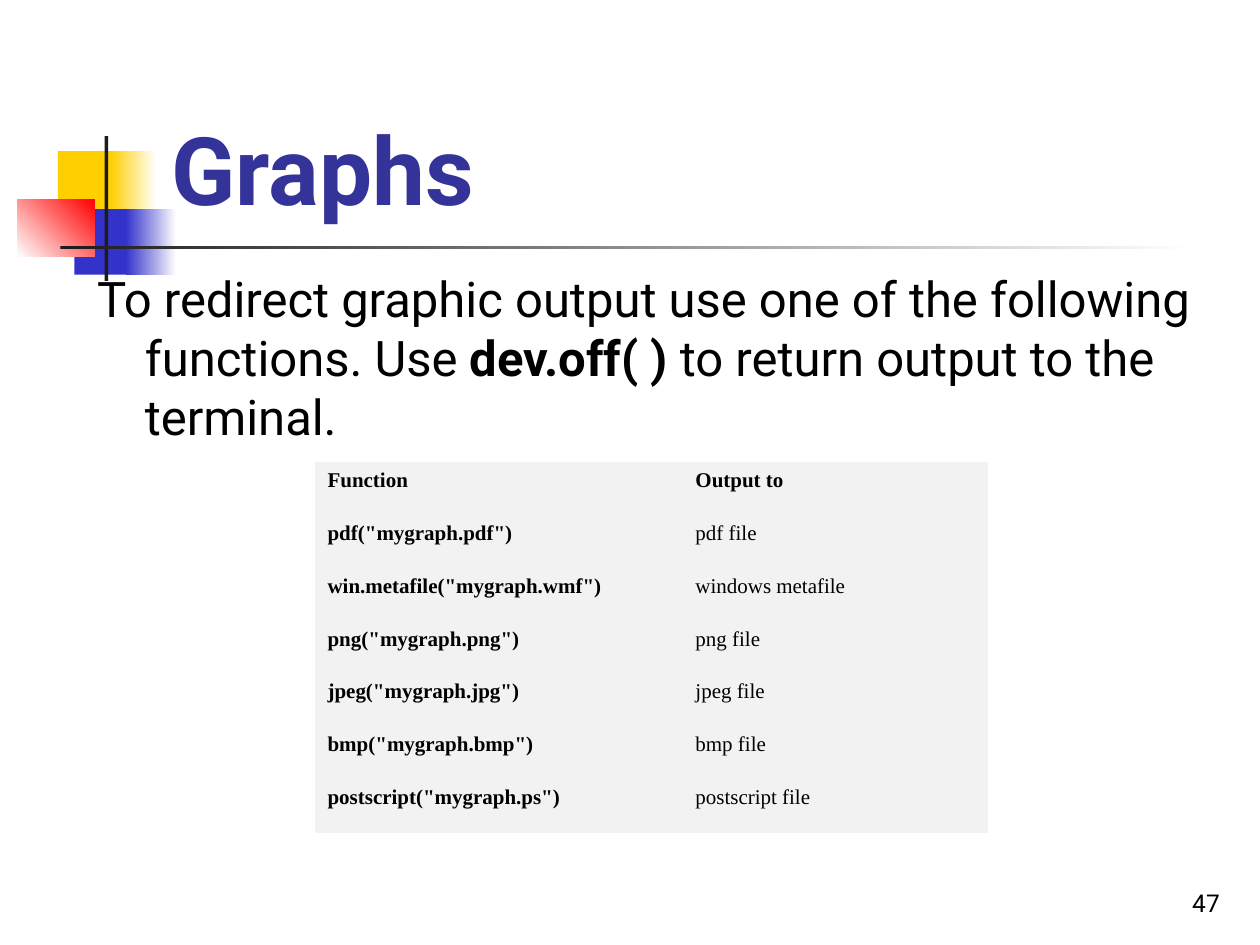
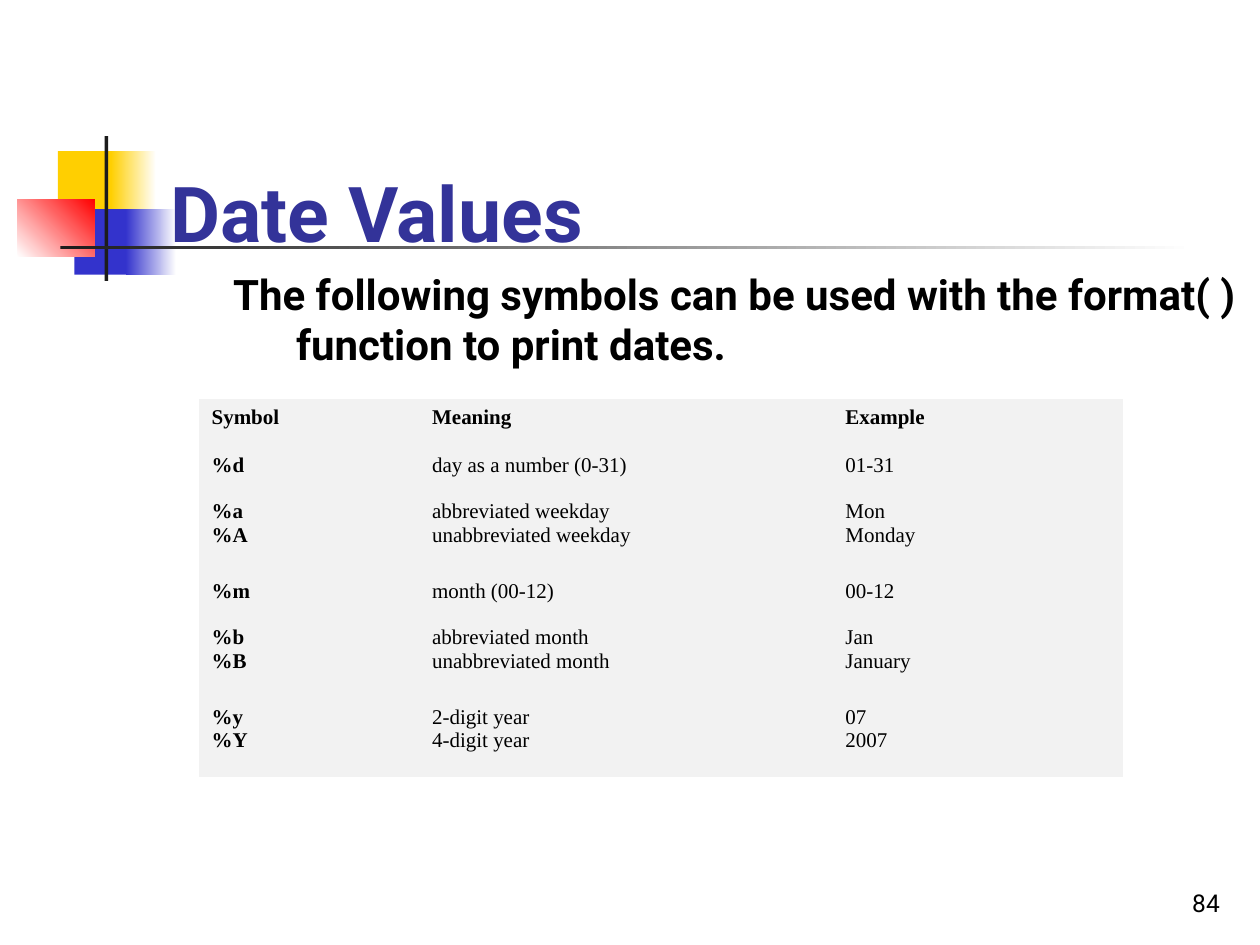
from lxml import etree
from pptx import Presentation
from pptx.dml.color import RGBColor
from pptx.enum.shapes import MSO_SHAPE
from pptx.enum.text import MSO_ANCHOR, MSO_AUTO_SIZE, PP_ALIGN
from pptx.oxml.ns import qn
from pptx.util import Inches, Pt

RECT = MSO_SHAPE.RECTANGLE
BOTTOM, TOP = MSO_ANCHOR.BOTTOM, MSO_ANCHOR.TOP
LEFT, RIGHT = PP_ALIGN.LEFT, PP_ALIGN.RIGHT
FIXED = MSO_AUTO_SIZE.NONE
PLAIN = "{2D5ABB26-0587-4C30-8999-92F81FD0307C}"  # table style without grid
WIDE, HIGH = 10, 7.5

HUES = {"gold": "FFCF01", "blue": "3333CC", "red": "FF0000", "dark": "1C1C1C",
        "white": "FFFFFF", "title": "333399", "text": "000000", "cell": "F2F2F2"}

# Content
SLIDES = [
    {"title": "Graphs", "size": 54, "box": (1.26, 0.23, 8.52, 1.6), "page": "47",
     "body": {"box": (0.17, 2.08, 9.92, 4.25), "level": 0, "size": 28,
              "margin": 0.88, "hang": 0.38, "before": 7,
              "runs": [("To redirect graphic output use one of the following "
                        "functions. Use ", False),
                       ("dev.off( )", True),
                       (" to return output to the terminal.", False)]},
     "table": {"at": (2.5, 3.67), "cols": [2.92, 2.42], "rows": [0.42] * 7,
               "cells": [("Function", "Output to"),
                         ('pdf("mygraph.pdf")', "pdf file"),
                         ('win.metafile("mygraph.wmf")', "windows metafile"),
                         ('png("mygraph.png")', "png file"),
                         ('jpeg("mygraph.jpg")', "jpeg file"),
                         ('bmp("mygraph.bmp")', "bmp file"),
                         ('postscript("mygraph.ps")', "postscript file")]}},
    {"title": "Date Values", "size": 44, "box": (1.25, 0.5, 8.52, 1.6), "page": "84",
     "body": {"box": (0.75, 2.08, 9.25, 3.17), "level": 1, "size": 24,
              "margin": 1.5, "hang": 0.5, "before": 6,
              "runs": [("The following symbols can be used with the format( ) "
                        "function to print dates.", True)]},
     "table": {"at": (1.58, 3.17), "cols": [1.75, 3.28, 2.3],
               "rows": [0.38, 0.37, 0.63, 0.37, 0.63, 0.62],
               "cells": [("Symbol", "Meaning", "Example"),
                         ("%d", "day as a number (0-31)", "01-31"),
                         ("%a\n%A", "abbreviated weekday\nunabbreviated weekday",
                          "Mon\nMonday"),
                         ("%m", "month (00-12)", "00-12"),
                         ("%b\n%B", "abbreviated month\nunabbreviated month",
                          "Jan\nJanuary"),
                         ("%y\n%Y", "2-digit year\n4-digit year", "07\n2007")]}},
]

# Emblem and rule: box, colours from start to end, angle
EMBLEM = [
    ((0.46, 1.2, 0.48, 0.52), ["gold"], 0),
    ((0.88, 1.2, 0.36, 0.52), ["gold", "white"], 0),
    ((0.59, 1.66, 0.46, 0.52), ["blue"], 0),
    ((1, 1.66, 0.4, 0.52), ["blue", "white"], 0),
    ((0.14, 1.58, 0.61, 0.46), ["white", "red"], 45),
    ((0.83, 1.08, 0.03, 1.15), ["dark"], 0),
    ((0.48, 1.95, 9, 0.03), ["dark", "white"], 0),
]
PAGE = (7.7, 6.83, 2.08, 0.5)

# Text styles
HEAD = {"name": "Roboto", "bold": True}
PROSE = {"name": "Roboto"}
GRID = {"name": "Times New Roman", "size": Pt(12)}
FRAME = {"word_wrap": True, "auto_size": FIXED}


def tune(item, **values):
    for key, value in values.items():
        setattr(item, key, value)


def hue(name):
    return RGBColor.from_string(HUES[name])


def ink(run, tint="text", **values):
    tune(run.font, **values)
    run.font.color.rgb = hue(tint)


def place(shape, box):
    tune(shape, **dict(zip(("left", "top", "width", "height"), map(Inches, box))))


def draw_emblem(slide, layout):
    """Draw the emblem and move it to the layout, where all slides share it."""
    for num, (box, tints, angle) in enumerate(EMBLEM, 100):
        part = slide.shapes.add_shape(RECT, *map(Inches, box))
        part.name = f"Emblem {num}"
        part.shadow.inherit = False
        part.line.fill.background()
        if len(tints) == 1:
            part.fill.solid()
            part.fill.fore_color.rgb = hue(tints[0])
        else:
            part.fill.gradient()
            part.fill.gradient_angle = angle
            for stop, tint in zip(part.fill.gradient_stops, tints):
                stop.color.rgb = hue(tint)
        next(part.element.iter(qn("p:cNvPr"))).set("id", str(num))
        layout.shapes.element.append(part.element)


def write(shape, box, runs, style, tint="text", anchor=TOP, align=LEFT):
    place(shape, box)
    frame = shape.text_frame
    tune(frame, vertical_anchor=anchor, **FRAME)
    para = frame.paragraphs[0]
    para.alignment = align
    for text, extra in runs:
        run = para.add_run()
        run.text = text
        ink(run, tint, **style, **extra)
    return para


def add_body(shape, data):
    runs = [(text, {"bold": bold}) for text, bold in data["runs"]]
    para = write(shape, data["box"], runs, {**PROSE, "size": Pt(data["size"])})
    # Hanging indent without a bullet
    props = next(shape.element.iter(qn("a:p"))).get_or_add_pPr()
    props.set("marL", str(Inches(data["margin"])))
    props.set("indent", str(-Inches(data["hang"])))
    etree.SubElement(props, qn("a:buNone"))
    tune(para, level=data["level"], space_before=Pt(data["before"]))


def add_grid(slide, data):
    cols, rows, cells = data["cols"], data["rows"], data["cells"]
    box = (*data["at"], sum(cols), sum(rows))
    frame = slide.shapes.add_table(len(rows), len(cols), *map(Inches, box))
    table = frame.table
    tune(table, first_row=False, horz_banding=False)
    next(frame.element.iter(qn("a:tableStyleId"))).text = PLAIN
    for col, width in zip(table.columns, cols):
        col.width = Inches(width)
    for row, height in zip(table.rows, rows):
        row.height = Inches(height)
    for r, line in enumerate(cells):
        for c, text in enumerate(line):
            cell = table.cell(r, c)
            cell.fill.solid()
            cell.fill.fore_color.rgb = hue("cell")
            para = cell.text_frame.paragraphs[0]
            para.text = text
            for run in para.runs:
                ink(run, bold=r == 0 or c == 0, **GRID)
    # Line breaks take the size of the text around them
    for gap in frame.element.iter(qn("a:br")):
        etree.SubElement(gap, qn("a:rPr")).set("sz", "1200")


def main():
    deck = Presentation()
    tune(deck, slide_width=Inches(WIDE), slide_height=Inches(HIGH))
    layout = deck.slide_layouts[1]
    for num, data in enumerate(SLIDES):
        slide = deck.slides.add_slide(layout)
        if num == 0:
            draw_emblem(slide, layout)
        title, body = slide.placeholders
        write(title, data["box"], [(data["title"], {"size": Pt(data["size"])})],
              HEAD, "title", BOTTOM)
        add_body(body, data["body"])
        add_grid(slide, data["table"])
        page = slide.shapes.add_textbox(*map(Inches, PAGE))
        write(page, PAGE, [(data["page"], {"size": Pt(14)})], PROSE,
              anchor=BOTTOM, align=RIGHT)
    deck.save("out.pptx")


if __name__ == "__main__":
    main()
